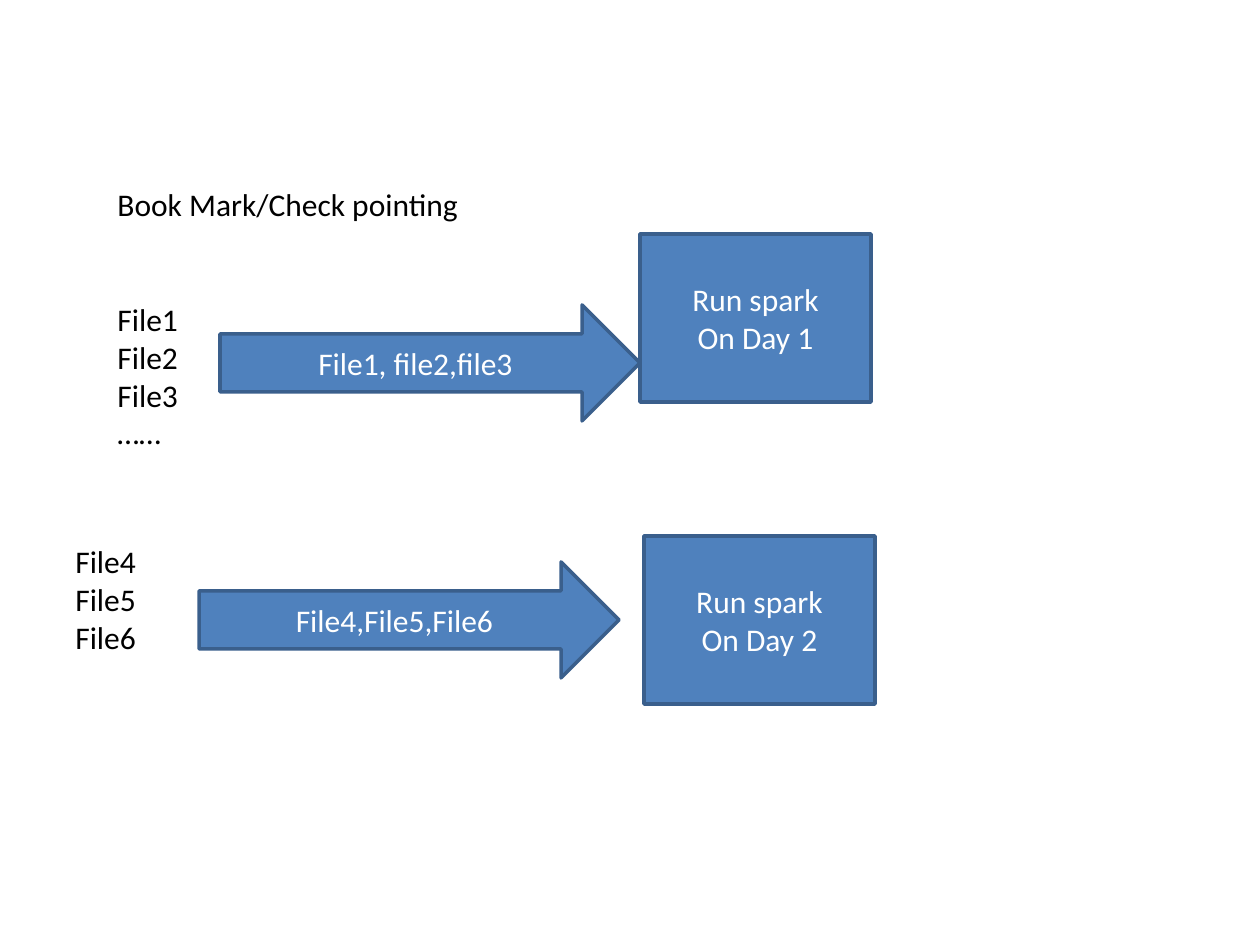
from dataclasses import dataclass

from pptx import Presentation, util as u
from pptx.dml.color import RGBColor
from pptx.enum import shapes, text

EMU_PER_PX = u.Inches(1) / 126


@dataclass(frozen=True)
class Theme:
    font: str = "Calibri"
    size: int = 18
    ink: str = "000000"
    fill: str = "4F81BD"
    line: str = "3A5F8C"
    on_fill: str = "FFFFFF"
    line_width: int = 2


def px(*lengths):
    return [u.Emu(round(length * EMU_PER_PX)) for length in lengths]


class Page:
    """Holds the theme and the current slide."""

    def __init__(self, slide, theme):
        self.slide = slide
        self.theme = theme

    def set_lines(self, frame, lines, color, align):
        frame.text = "\n".join(lines)
        for para in frame.paragraphs:
            para.alignment = align
            for span in para.runs:
                span.font.name = self.theme.font
                span.font.size = u.Pt(self.theme.size)
                span.font.color.rgb = RGBColor.from_string(color)

    def label(self, left, top, width, height, lines, wrap=True):
        box = self.slide.shapes.add_textbox(*px(left, top, width, height))
        frame = box.text_frame
        frame.word_wrap = wrap
        frame.auto_size = text.MSO_AUTO_SIZE.SHAPE_TO_FIT_TEXT
        self.set_lines(frame, lines, self.theme.ink, text.PP_ALIGN.LEFT)
        return frame

    def block(self, kind, left, top, width, height, lines):
        shape = self.slide.shapes.add_shape(kind, *px(left, top, width, height))
        shape.shadow.inherit = False
        shape.fill.solid()
        shape.fill.fore_color.rgb = RGBColor.from_string(self.theme.fill)
        shape.line.color.rgb = RGBColor.from_string(self.theme.line)
        shape.line.width = u.Pt(self.theme.line_width)
        shape.text_frame.vertical_anchor = text.MSO_ANCHOR.MIDDLE
        self.set_lines(shape.text_frame, lines, self.theme.on_fill, text.PP_ALIGN.CENTER)

    def job(self, left, top, day):
        self.block(shapes.MSO_SHAPE.RECTANGLE, left, top, 231, 168,
                   ["Run spark", f"On Day {day}"])

    def arrow(self, left, top, files):
        self.block(shapes.MSO_SHAPE.RIGHT_ARROW, left, top, 420, 116, [files])


def main():
    deck = Presentation()
    deck.slide_width, deck.slide_height = px(1260, 945)
    blank_layout = deck.slide_layouts[6]
    page = Page(deck.slides.add_slide(blank_layout), Theme())

    heading_and_files = page.label(
        105, 179, 370, 280,
        ["Book Mark/Check pointing", "File1", "File2", "File3", "……"], wrap=False)
    heading_and_files.paragraphs[1].space_before = u.Pt(44)
    page.job(640, 234, day=1)
    page.arrow(220, 305, "File1, file2,file3")

    page.label(63, 536, 227, 127, ["File4", "File5", "File6"])
    page.job(644, 536, day=2)
    page.arrow(199, 562, "File4,File5,File6")

    deck.save("out.pptx")


if __name__ == "__main__":
    main()
